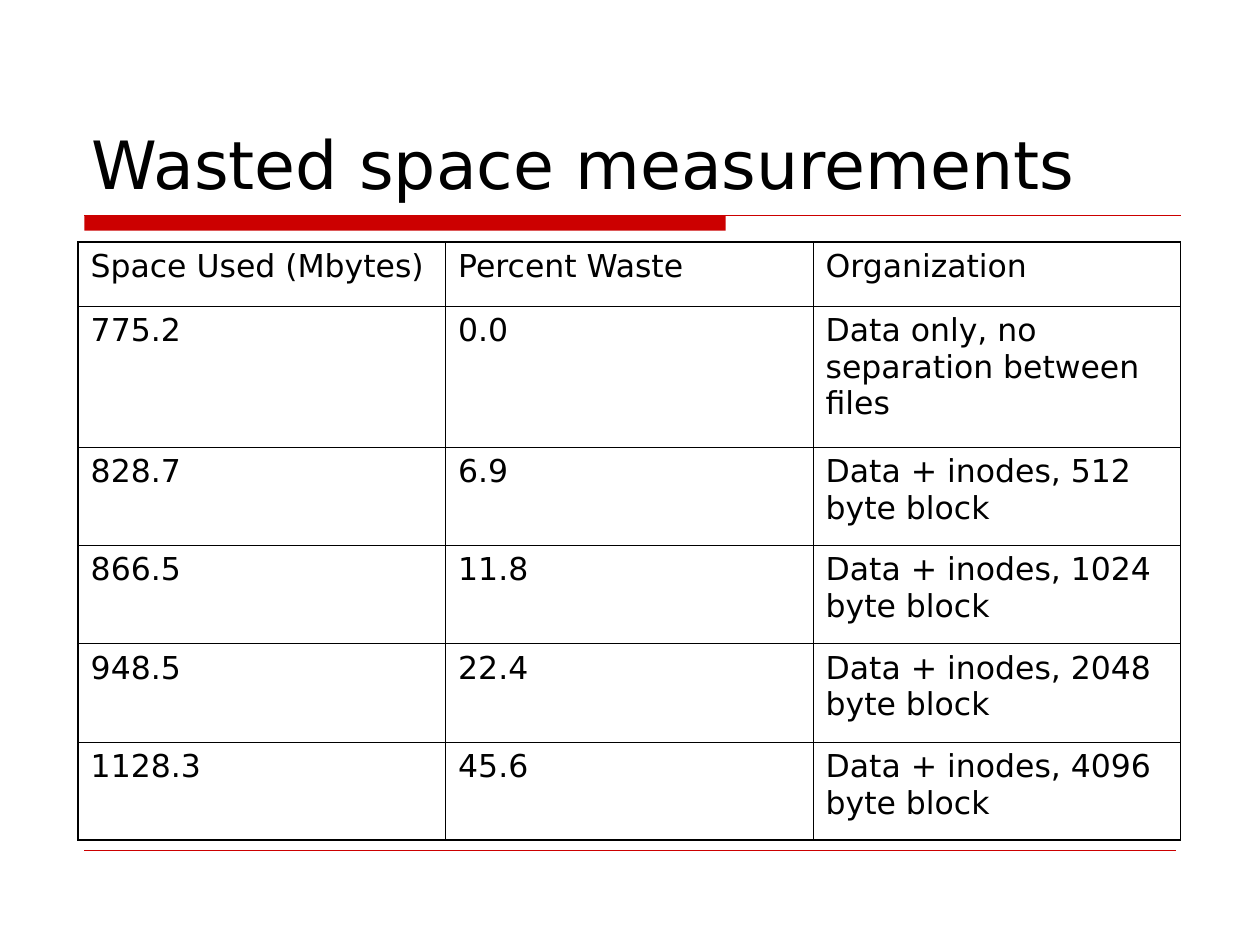
from pptx import Presentation
from pptx.dml.color import RGBColor
from pptx.enum.shapes import MSO_CONNECTOR as CONN, MSO_SHAPE as SHAPE
from pptx.enum.text import MSO_ANCHOR as ANCHOR, PP_ALIGN as ALIGN
from pptx.oxml.ns import qn
from pptx.util import Inches, Pt
from lxml.etree import SubElement

FONT = "DejaVu Sans"
BLACK, RED = "000000", "CC0000"
OUTER, INNER = 1.08, 0.45
ROW_HEIGHTS = [0.51, 1.12] + [0.78] * 4
ROWS = [
    ("Space Used (Mbytes)", "Percent Waste", "Organization"),
    ("775.2", "0.0", "Data only, no separation between files"),
    ("828.7", "6.9", "Data + inodes, 512 byte block"),
    ("866.5", "11.8", "Data + inodes, 1024 byte block"),
    ("948.5", "22.4", "Data + inodes, 2048 byte block"),
    ("1128.3", "45.6", "Data + inodes, 4096 byte block"),
]


def rgb(value):
    """Turn a hex string into a colour."""
    return RGBColor.from_string(value)


def write(tf, text, size=18, color=BLACK, align=ALIGN.LEFT):
    """Write one formatted paragraph into a text frame."""
    p = tf.paragraphs[0]
    p.alignment = align
    r = p.add_run()
    r.text = text
    r.font.name, r.font.size = FONT, Pt(size)
    r.font.color.rgb = rgb(color)


def add_title(s, text):
    """Place and fill the title placeholder."""
    sp = s.shapes.title
    sp.left, sp.top, sp.width, sp.height = map(Inches, (0.63, 0.33, 8.75, 1.33))
    tf = sp.text_frame
    tf.word_wrap = True
    tf.vertical_anchor = ANCHOR.BOTTOM
    write(tf, text, size=38)


def add_bar(s, left, top, width, height, color=RED):
    """Add a plain filled rectangle."""
    sp = s.shapes.add_shape(SHAPE.RECTANGLE, *map(Inches, (left, top, width, height)))
    sp.shadow.inherit = False
    sp.fill.solid()
    sp.fill.fore_color.rgb = rgb(color)
    sp.line.fill.background()


def add_rule(s, left, right, y, width, color=RED):
    """Add a horizontal line without a shadow."""
    line = s.shapes.add_connector(CONN.STRAIGHT, *map(Inches, (left, y, right, y)))
    line.line.color.rgb = rgb(color)
    line.line.width = Pt(width)
    SubElement(line._element.spPr, qn("a:effectLst"))


def set_borders(cell, widths, color=BLACK):
    """Draw the left, right, top and bottom borders of a cell."""
    tc_pr = cell._tc.get_or_add_tcPr()
    for side, width in zip("LRTB", widths):
        ln = SubElement(tc_pr, qn(f"a:ln{side}"), w=str(Pt(width)))
        fill = SubElement(ln, qn("a:solidFill"))
        SubElement(fill, qn("a:srgbClr"), val=color)


def add_grid(s, rows, left, top, width, heights):
    """Add a table with equal columns and a heavier outer border."""
    n_rows, n_cols = len(rows), len(rows[0])
    frame = s.shapes.add_table(
        n_rows, n_cols, *map(Inches, (left, top, width, sum(heights))))
    table = frame.table
    table.first_row = table.horz_banding = False
    for i, (texts, height) in enumerate(zip(rows, heights)):
        table.rows[i].height = Inches(height)
        for j, text in enumerate(texts):
            cell = table.cell(i, j)
            edges = (j == 0, j == n_cols - 1, i == 0, i == n_rows - 1)
            set_borders(cell, [OUTER if edge else INNER for edge in edges])
            cell.fill.background()
            write(cell.text_frame, text)


def main():
    """Build the slide and save it."""
    prs = Presentation()
    prs.slide_width, prs.slide_height = Inches(10), Inches(7.5)
    s = prs.slides.add_slide(prs.slide_layouts[5])
    add_bar(s, 0.67, 1.71, 5.09, 0.12)
    add_rule(s, 0.67, 9.37, 1.71, 0.75)
    add_rule(s, 0.67, 9.33, 6.75, 0.25)
    add_title(s, "Wasted space measurements")
    add_grid(s, ROWS, 0.62, 1.92, 8.75, ROW_HEIGHTS)
    prs.save("out.pptx")


if __name__ == "__main__":
    main()
